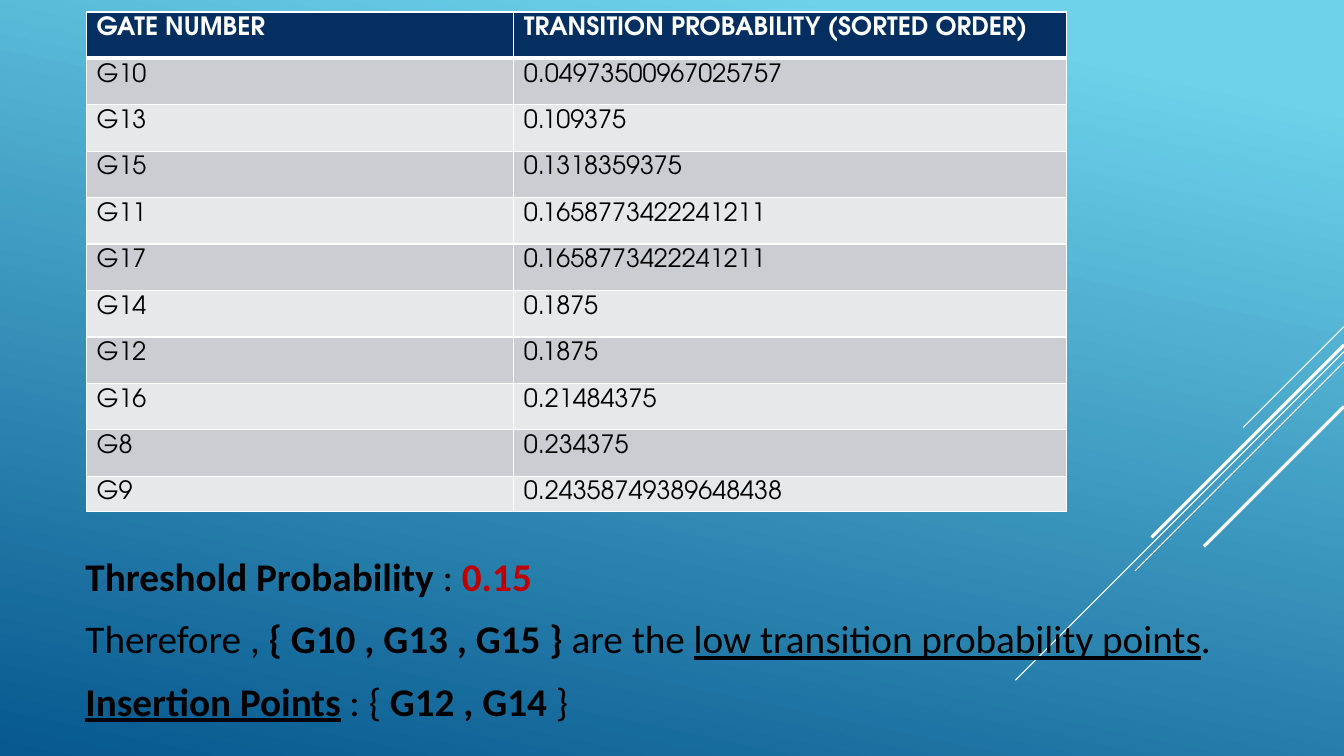
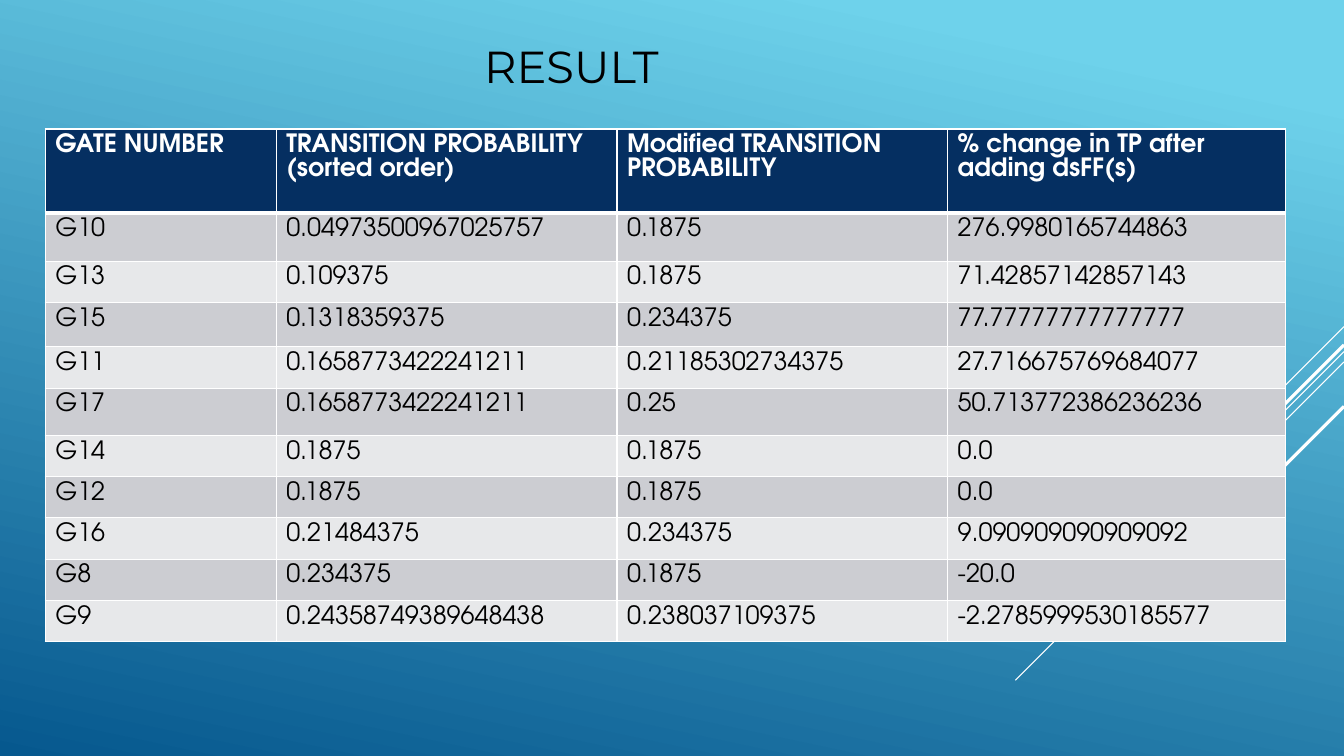
from lxml import etree
from pptx import Presentation
from pptx.dml.color import RGBColor
from pptx.enum import shapes, text
from pptx.oxml import ns
from pptx.util import Cm, Pt

SKY = RGBColor(0x6E, 0xD2, 0xEB)
SEA = RGBColor(0x06, 0x58, 0x8E)
NAVY = RGBColor(0x05, 0x2F, 0x61)
DARK = RGBColor(0xCC, 0xCD, 0xD2)
PALE = RGBColor(0xE7, 0xE8, 0xEA)
WHITE = RGBColor(0xFF, 0xFF, 0xFF)
BLACK = RGBColor(0, 0, 0)
RED = RGBColor(0xC0, 0, 0)

WIDE, HIGH = 33.87, 19.05
HEAD, BODY, GRID = "Montserrat", "Calibri", "TeX Gyre Adventor"

RAYS = [(8.23, 2.54, 0.75), (8.86, 8.28, 0.75), (9.12, 5.27, 0.75),
        (8.69, 4.85, 2.25), (10.24, 3.53, 2.25)]

GATES = [
    ("G10", "0.04973500967025757", "0.1875", "276.9980165744863"),
    ("G13", "0.109375", "0.1875", "71.42857142857143"),
    ("G15", "0.1318359375", "0.234375", "77.77777777777777"),
    ("G11", "0.1658773422241211", "0.21185302734375", "27.716675769684077"),
    ("G17", "0.1658773422241211", "0.25", "50.713772386236236"),
    ("G14", "0.1875", "0.1875", "0.0"),
    ("G12", "0.1875", "0.1875", "0.0"),
    ("G16", "0.21484375", "0.234375", "9.090909090909092"),
    ("G8", "0.234375", "0.1875", "-20.0"),
    ("G9", "0.24358749389648438", "0.238037109375", "-2.2785999530185577"),
]

NOTES = [
    [("Threshold Probability", {"bold": True}), (" : ", {}),
     ("0.15", {"bold": True, "color": RED})],
    [("Therefore ,", {}), (" { G10 , G13 , G15 }", {"bold": True}),
     (" are the ", {}), ("low transition probability points", {"under": True}),
     (".", {})],
    [("Insertion Points", {"bold": True, "under": True}), (" : { ", {}),
     ("G12 , G14 ", {"bold": True}), ("}", {})],
]


def say(par, words, size=18, face=GRID, color=BLACK, bold=False, under=False):
    """Add one formatted run to a paragraph."""
    run = par.add_run()
    run.text = words
    font = run.font
    font.size, font.name = Pt(size), face
    font.bold, font.underline = bold, under
    font.color.rgb = color


def place(shape, left, top, width, height):
    """Move a shape to a box given in centimetres."""
    shape.left, shape.top = Cm(left), Cm(top)
    shape.width, shape.height = Cm(width), Cm(height)


def paint(master):
    """Give the master its gradient background."""
    fill = master.background.fill
    fill.gradient()
    fill.gradient_angle = 258
    for stop, spot, color in zip(fill.gradient_stops, (0.1, 1), (SKY, SEA)):
        stop.position = spot
        stop.color.rgb = color


def rays(slide):
    """Draw the slanted lines that run in from the right edge."""
    for top, span, width in RAYS:
        ray = slide.shapes.add_connector(
            shapes.MSO_CONNECTOR.STRAIGHT, Cm(WIDE), Cm(top),
            Cm(WIDE - span), Cm(top + span))
        ray.line.color.rgb = WHITE
        ray.line.width = Pt(width)
        etree.SubElement(ray.element.spPr, ns.qn("a:effectLst"))


def edge(cell, **widths):
    """Set white cell borders, 1 pt unless a side is named."""
    props = cell._tc.get_or_add_tcPr()
    for spot, side in enumerate("LRTB"):
        line = etree.Element(ns.qn("a:ln" + side))
        line.set("w", str(Pt(widths.get(side, 1))))
        fill = etree.SubElement(line, ns.qn("a:solidFill"))
        etree.SubElement(fill, ns.qn("a:srgbClr")).set("val", str(WHITE))
        props.insert(spot, line)


def grid(slide, left, top, cols, rows, data):
    """Build a banded table with a navy header row."""
    frame = slide.shapes.add_table(
        len(rows), len(cols), Cm(left), Cm(top), Cm(sum(cols)), Cm(sum(rows)))
    table = frame.table
    for col, width in zip(table.columns, cols):
        col.width = Cm(width)
    for row, height in zip(table.rows, rows):
        row.height = Cm(height)
    for i, line in enumerate(data):
        head = i == 0
        for j, words in enumerate(line):
            cell = table.cell(i, j)
            cell.fill.solid()
            cell.fill.fore_color.rgb = NAVY if head else (PALE, DARK)[i % 2]
            edge(cell, **{0: {"B": 3}, 1: {"T": 3}}.get(i, {}))
            for k, part in enumerate(words.split("\n")):
                frame = cell.text_frame
                par = frame.add_paragraph() if k else frame.paragraphs[0]
                say(par, part, color=WHITE if head else BLACK, bold=head)


def notes(box, left, top, width, height):
    """Fill the body placeholder with the unbulleted findings."""
    place(box, left, top, width, height)
    box.element.getparent().append(box.element)
    frame = box.text_frame
    frame.auto_size = text.MSO_AUTO_SIZE.NONE
    frame.vertical_anchor = text.MSO_ANCHOR.TOP
    for i, runs in enumerate(NOTES):
        par = frame.add_paragraph() if i else frame.paragraphs[0]
        par.space_before, par.space_after = Pt(5), Pt(6)
        props = par._p.get_or_add_pPr()
        props.set("marL", "0")
        props.set("indent", "0")
        etree.SubElement(props, ns.qn("a:buNone"))
        for words, style in runs:
            say(par, words, size=28, face=BODY, **style)


def title(box, words, left, top, width, height, inset):
    """Set the slide title, inset from the left of its box."""
    place(box, left, top, width, height)
    frame = box.text_frame
    frame.auto_size = text.MSO_AUTO_SIZE.NONE
    frame.vertical_anchor = text.MSO_ANCHOR.BOTTOM
    frame.margin_left = Cm(inset)
    par = frame.paragraphs[0]
    par.alignment = text.PP_ALIGN.LEFT
    say(par, words, size=32, face=HEAD)


def order(deck):
    """Make the slide of sorted gates and insertion points."""
    slide = deck.slides.add_slide(deck.slide_layouts[1])
    name = slide.shapes.title.element
    name.getparent().remove(name)
    rays(slide)
    notes(slide.placeholders[1], 1.9, 13.79, 30.15, 5.2)
    head = ("GATE NUMBER", "TRANSITION PROBABILITY (SORTED ORDER)")
    grid(slide, 2.18, 0.3, [10.77, 13.92], [1.17] * 10 + [0.89],
         [head] + [gate[:2] for gate in GATES])


def result(deck):
    """Make the slide that compares probabilities."""
    slide = deck.slides.add_slide(deck.slide_layouts[5])
    rays(slide)
    title(slide.shapes.title, "RESULT", 1.9, 0.5, 30.5, 1.96, 10.3)
    head = ("GATE NUMBER", "TRANSITION PROBABILITY (sorted order)",
            "Modified TRANSITION PROBABILITY",
            "% change in TP after\nadding dsFF(s)")
    grid(slide, 1.14, 3.25, [5.82, 8.59, 8.33, 8.51],
         [2.11, 1.22, 1.04, 1.12, 1.04, 1.19] + [1.04] * 5, [head] + GATES)


def main():
    """Build and save the deck."""
    deck = Presentation()
    deck.slide_width, deck.slide_height = Cm(WIDE), Cm(HIGH)
    paint(deck.slide_master)
    order(deck)
    result(deck)
    deck.save("out.pptx")


if __name__ == "__main__":
    main()
